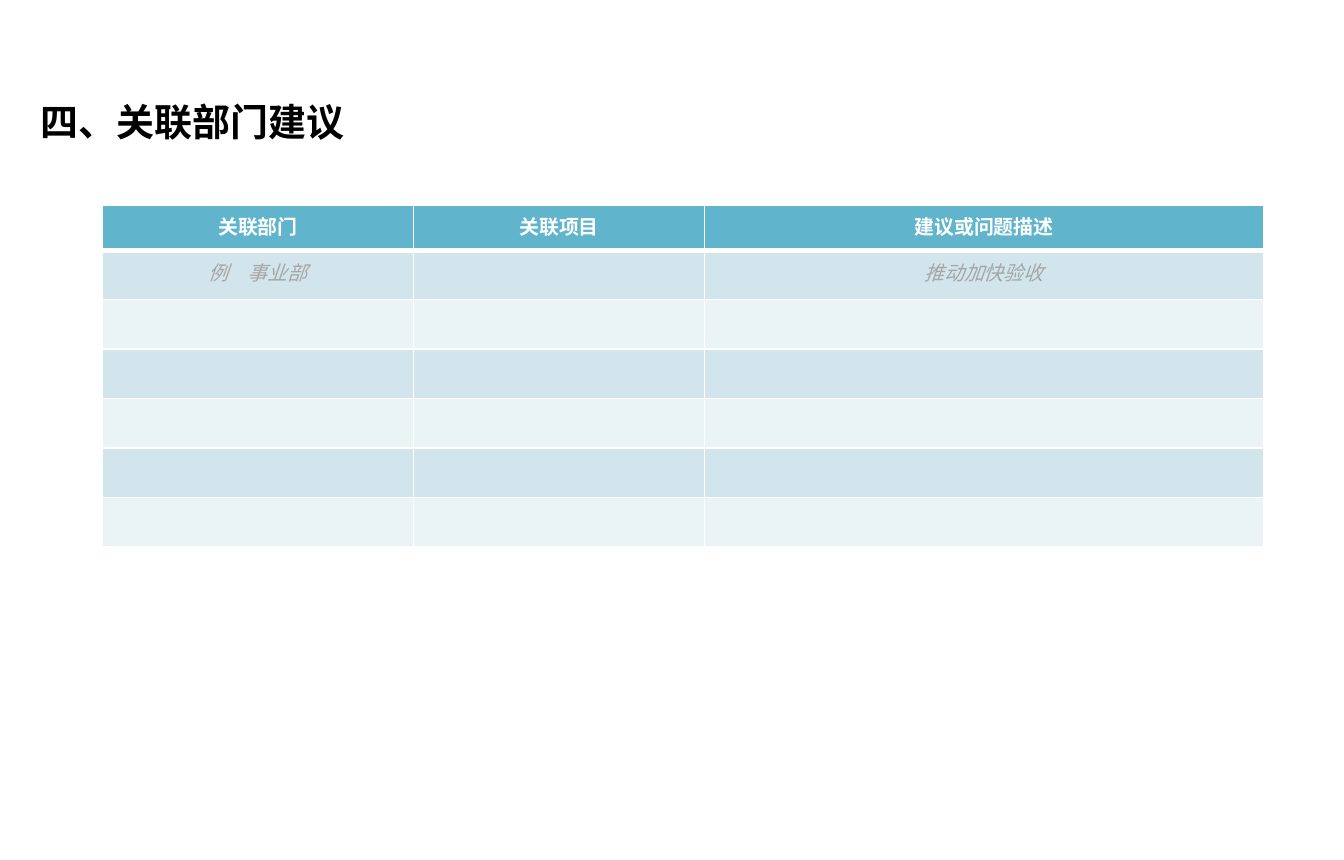
from dataclasses import dataclass

from lxml import etree
from pptx import Presentation
from pptx.dml.color import RGBColor
from pptx.enum.text import MSO_ANCHOR, PP_ALIGN
from pptx.oxml.ns import qn
from pptx.util import Pt

MIDDLE = MSO_ANCHOR.MIDDLE
LEFT, CENTER = PP_ALIGN.LEFT, PP_ALIGN.CENTER


@dataclass(frozen=True)
class Theme:
    font: str = "Arial"
    title_size: float = 20
    table_size: float = 10.5
    title: str = "000000"
    white: str = "FFFFFF"
    example: str = "A6A6A6"
    header_fill: str = "60B5CC"
    band_fills: tuple[str, str] = ("D2E5EC", "EAF3F6")
    thin_border: float = 1
    thick_border: float = 3


@dataclass(frozen=True)
class TextStyle:
    size: float
    color: str
    bold: bool = False
    italic: bool = False
    align: PP_ALIGN = CENTER


@dataclass(frozen=True)
class Column:
    heading: str
    example: str
    width: float


THEME = Theme()
TITLE_STYLE = TextStyle(THEME.title_size, THEME.title, bold=True, align=LEFT)
HEADER_STYLE = TextStyle(THEME.table_size, THEME.white, bold=True)
EXAMPLE_STYLE = TextStyle(THEME.table_size, THEME.example, italic=True)
COLUMNS = (
    Column("关联部门", "例\u3000事业部", 164),
    Column("关联项目", "", 153.5),
    Column("建议或问题描述", "推动加快验收", 294.5),
)
HEADER_HEIGHT = 24
BODY_HEIGHT = 26.1
BODY_ROWS = 6


def write_text(paragraph, text: str, style: TextStyle) -> None:
    paragraph.alignment = style.align
    font = paragraph.font
    font.name = THEME.font
    font.size = Pt(style.size)
    font.bold = style.bold
    font.italic = style.italic
    font.color.rgb = RGBColor.from_string(style.color)
    if text:
        paragraph.add_run().text = text
    else:
        end = etree.SubElement(paragraph._p, qn("a:endParaRPr"))
        end.set("sz", str(int(style.size * 100)))


def add_title(slide, text: str) -> None:
    title = slide.shapes.add_textbox(Pt(14.4), Pt(44), Pt(244), Pt(39.6))
    title.text_frame.word_wrap = True
    title.text_frame.vertical_anchor = MIDDLE
    write_text(title.text_frame.paragraphs[0], text, TITLE_STYLE)


def set_borders(cell, top: float, bottom: float) -> None:
    properties = cell._tc.get_or_add_tcPr()
    widths = {"lnL": THEME.thin_border, "lnR": THEME.thin_border, "lnT": top, "lnB": bottom}
    for side, width in widths.items():
        line = etree.SubElement(properties, qn(f"a:{side}"), w=str(Pt(width)))
        fill = etree.SubElement(line, qn("a:solidFill"))
        etree.SubElement(fill, qn("a:srgbClr"), val=THEME.white)


def format_cell(cell, row: int, text: str) -> None:
    is_header = row == 0
    top = THEME.thick_border if row == 1 else THEME.thin_border
    bottom = THEME.thick_border if is_header else THEME.thin_border
    set_borders(cell, top, bottom)
    color = THEME.header_fill if is_header else THEME.band_fills[(row - 1) % 2]
    cell.fill.solid()
    cell.fill.fore_color.rgb = RGBColor.from_string(color)
    style = HEADER_STYLE if is_header else EXAMPLE_STYLE
    write_text(cell.text_frame.paragraphs[0], text, style)


def add_suggestion_table(slide) -> None:
    width = sum(column.width for column in COLUMNS)
    height = HEADER_HEIGHT + BODY_ROWS * BODY_HEIGHT
    table = slide.shapes.add_table(
        BODY_ROWS + 1, len(COLUMNS), Pt(54), Pt(108), Pt(width), Pt(height)
    ).table
    for row_index, row in enumerate(table.rows):
        row.height = Pt(BODY_HEIGHT if row_index else HEADER_HEIGHT)
    for column_index, column in enumerate(COLUMNS):
        table.columns[column_index].width = Pt(column.width)
        texts = [column.heading, column.example] + [""] * (BODY_ROWS - 1)
        for row_index, text in enumerate(texts):
            format_cell(table.cell(row_index, column_index), row_index, text)


def main() -> None:
    presentation = Presentation()
    presentation.slide_width = Pt(708.5)
    presentation.slide_height = Pt(453.6)
    slide = presentation.slides.add_slide(presentation.slide_layouts[6])
    add_title(slide, "四、关联部门建议")
    add_suggestion_table(slide)
    presentation.save("out.pptx")


main()
